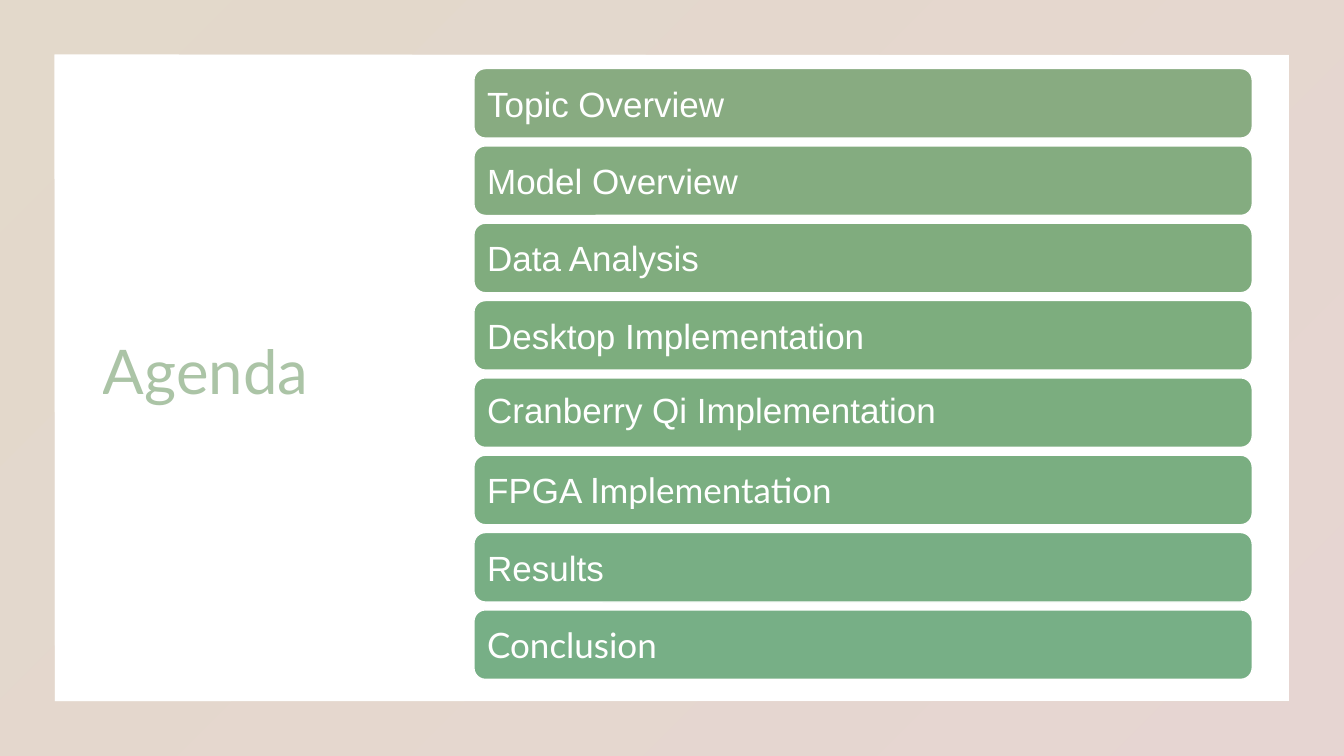
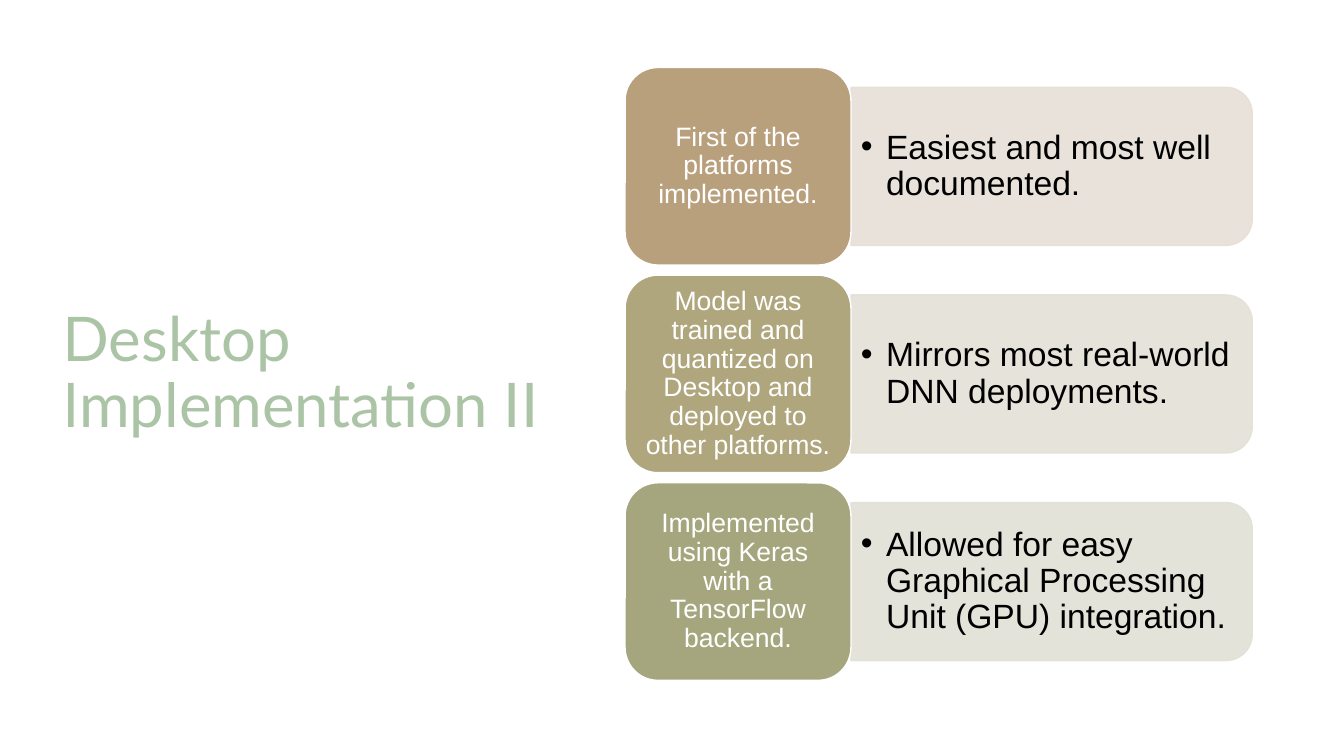
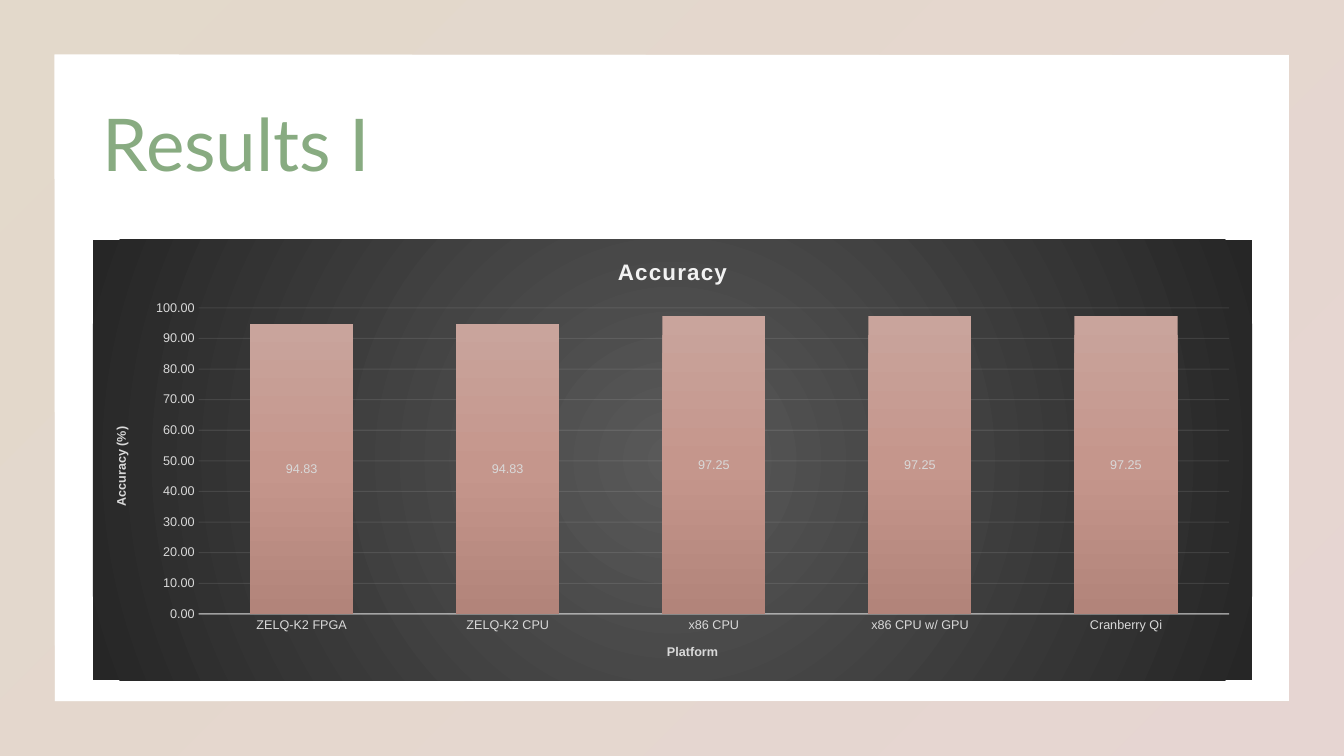
"""Build a three-slide deck: an agenda, a platform summary and an accuracy chart."""
from dataclasses import dataclass
from typing import NamedTuple

from lxml.etree import SubElement
from pptx import Presentation
from pptx.chart.data import CategoryChartData
from pptx.dml.color import RGBColor
from pptx.enum.chart import XL_CHART_TYPE as ChartType
from pptx.enum.chart import XL_LABEL_POSITION as LabelPos
from pptx.enum.chart import XL_TICK_MARK as Tick
from pptx.enum.shapes import MSO_SHAPE as Preset
from pptx.enum.text import MSO_ANCHOR as Anchor
from pptx.enum.text import MSO_AUTO_SIZE as AutoSize
from pptx.enum.text import PP_ALIGN as Align
from pptx.oxml import parse_xml
from pptx.oxml.ns import nsdecls, qn
from pptx.util import Inches, Pt


@dataclass(frozen=True)
class Theme:
    heading: str = "Lato"
    body: str = "Arial"
    white: str = "FFFFFF"
    black: str = "000000"
    green: str = "88AB81"
    light: str = "F2F2F2"
    muted: str = "D9D9D9"
    frame_stops: tuple = ((0, "B9A07D"), (100, "C2988F"))
    chart_stops: tuple = ((0, "595959"), (100, "262626"))
    column_stops: tuple = ((0, "C9A49C"), (50, "C5968C"), (100, "B2847A"))
    title_size: int = 44
    large_title_size: int = 52
    agenda_size: int = 25
    detail_size: int = 24
    card_size: int = 19
    chart_title_size: int = 16
    chart_size: int = 9


THEME = Theme()


class Box(NamedTuple):
    left: float
    top: float
    width: float
    height: float

    def emu(self) -> tuple:
        return tuple(Inches(v) for v in self)


class Span(NamedTuple):
    text: str
    font: str = THEME.body


@dataclass(frozen=True)
class AgendaItem:
    spans: tuple
    fill: str
    spacing: float = 1.0


@dataclass(frozen=True)
class Platform:
    summary: str
    detail: str
    fill: str
    tint: str


AGENDA = (
    AgendaItem((Span("Topic Overview"),), "88AB81"),
    AgendaItem((Span("Model Overview"),), "84AC80"),
    AgendaItem((Span("Data Analysis"),), "80AC7E"),
    AgendaItem((Span("Desktop Implementation"),), "7DAD7E"),
    AgendaItem((Span("Cranberry Qi Implementation"),), "7BAD7F", 0.9),
    AgendaItem((Span("FPGA "), Span("Implementation", THEME.heading)), "7AAE81"),
    AgendaItem((Span("Results"),), "78AE84"),
    AgendaItem((Span("Conclusion", THEME.heading),), "77AF86"),
)

PLATFORMS = (
    Platform("First of the platforms implemented.",
             "Easiest and most well documented.", "B9A07D", "E6DFD7"),
    Platform("Model was trained and quantized on Desktop and deployed to other platforms.",
             "Mirrors most real-world DNN deployments.", "B0A67D", "E4E1D7"),
    Platform("Implemented using Keras with a TensorFlow backend.",
             "Allowed for easy Graphical Processing Unit (GPU) integration.",
             "A5A67D", "E1E1D7"),
)

ACCURACY = {
    "ZELQ-K2 FPGA": 94.83,
    "ZELQ-K2 CPU": 94.83,
    "x86 CPU": 97.25,
    "x86 CPU w/ GPU": 97.25,
    "Cranberry Qi": 97.25,
}


def rgb(value: str) -> RGBColor:
    return RGBColor.from_string(value)


def fade(element, percent: int) -> None:
    for color in element.iter(qn("a:srgbClr")):
        SubElement(color, qn("a:alpha"), val=str(percent * 1000))


def gradient(stops: tuple, angle: int | None = None):
    marks = "".join(f'<a:gs pos="{pos * 1000}"><a:srgbClr val="{color}"/></a:gs>'
                    for pos, color in stops)
    if angle is None:
        course = ('<a:path path="circle"><a:fillToRect l="50000" t="50000" '
                  'r="50000" b="50000"/></a:path>')
    else:
        course = f'<a:lin ang="{angle * 60000}" scaled="0"/>'
    return parse_xml(f'<a:gradFill {nsdecls("a")} rotWithShape="1">'
                     f'<a:gsLst>{marks}</a:gsLst>{course}</a:gradFill>')


def swap_fill(props, fill) -> None:
    props.replace(props.find(qn("a:noFill")), fill)


def style_font(font, size: float, color: str, name: str = THEME.body,
               bold: bool = False) -> None:
    font.name, font.size, font.bold = name, Pt(size), bold
    font.color.rgb = rgb(color)


def write(tf, spans: tuple, size: float, color: str, align: Align = Align.LEFT,
          spacing: float = 0.9, insets: tuple = (0.1, 0.05)):
    tf.word_wrap = True
    tf.auto_size = AutoSize.NONE
    tf.vertical_anchor = Anchor.MIDDLE
    tf.margin_left = tf.margin_right = Inches(insets[0])
    tf.margin_top = tf.margin_bottom = Inches(insets[1])
    p = tf.paragraphs[0]
    p.alignment, p.line_spacing = align, spacing
    for span in spans:
        r = p.add_run()
        r.text = span.text
        style_font(r.font, size, color, span.font)
    return p


def add_panel(slide, preset: Preset, box: Box, fill: str, line: str):
    sp = slide.shapes.add_shape(preset, *box.emu())
    sp.shadow.inherit = False
    sp.fill.solid()
    sp.fill.fore_color.rgb = rgb(fill)
    sp.line.color.rgb = rgb(line)
    sp.line.width = Pt(1)
    return sp


def add_frame(slide, page: Box) -> None:
    sp = slide.shapes.add_shape(Preset.FRAME, *page.emu())
    sp.shadow.inherit = False
    sp.adjustments[0] = 0.072
    sp.line.fill.background()
    sp.fill.background()
    fill = gradient(THEME.frame_stops, 45)
    fade(fill, 40)
    swap_fill(sp.element.spPr, fill)


def add_slide(prs, title: str, box: Box, size: int = THEME.title_size,
              opacity: int = 70, framed: bool = True):
    slide = prs.slides.add_slide(prs.slide_layouts[5])
    if framed:
        add_frame(slide, Box(0, 0, 13.33, 7.5))
    sp = slide.shapes.title
    sp.left, sp.top, sp.width, sp.height = box.emu()
    p = write(sp.text_frame, (Span(title, THEME.heading),), size, THEME.green)
    if opacity < 100:
        fade(p.runs[0].font._element, opacity)
    return slide


def add_agenda(prs) -> None:
    slide = add_slide(prs, "Agenda", Box(0.92, 0.67, 3.5, 6.09))
    first, last = 0.68, 6.05
    pitch = (last - first) / (len(AGENDA) - 1)
    for i, item in enumerate(AGENDA):
        box = Box(4.7, first + i * pitch, 7.72, 0.69)
        sp = add_panel(slide, Preset.ROUNDED_RECTANGLE, box, item.fill, THEME.white)
        write(sp.text_frame, item.spans, THEME.agenda_size, THEME.white,
              spacing=item.spacing, insets=(0.1, 0.1))


def add_bullet(p) -> None:
    props = p._p.get_or_add_pPr()
    props.set("marL", str(Inches(0.25)))
    props.set("indent", str(-Inches(0.25)))
    SubElement(props, qn("a:buFont"), typeface=THEME.body)
    SubElement(props, qn("a:buChar"), char="•")


def add_platform(slide, platform: Platform, card: Box) -> None:
    length, depth = 3.98, 0.8 * card.height
    edge, middle = card.left + card.width, card.top + card.height / 2
    bar = Box(edge + (length - depth) / 2, middle - length / 2, depth, length)
    sp = add_panel(slide, Preset.ROUND_2_SAME_RECTANGLE, bar, platform.tint, platform.tint)
    sp.rotation = 90
    fade(sp.element.spPr, 90)

    detail = Box(edge, middle - 0.71, 3.9, 1.42)
    tf = slide.shapes.add_textbox(*detail.emu()).text_frame
    add_bullet(write(tf, (Span(platform.detail),), THEME.detail_size, THEME.black))

    sp = add_panel(slide, Preset.ROUNDED_RECTANGLE, card, platform.fill, THEME.white)
    write(sp.text_frame, (Span(platform.summary),), THEME.card_size, THEME.white,
          align=Align.CENTER, insets=(0.08, 0.04))


def add_platforms(prs) -> None:
    slide = add_slide(prs, "Desktop Implementation II", Box(0.52, 0.67, 5.26, 6.09),
                      framed=False)
    for i, platform in enumerate(PLATFORMS):
        add_platform(slide, platform, Box(6.2, 0.67 + i * 2.06, 2.24, 1.96))


def style_line(line, width: float, opacity: int) -> None:
    line.color.rgb = rgb(THEME.light)
    line.width = Pt(width)
    fade(line._get_or_add_ln(), opacity)


def style_axis(axis, title: str) -> None:
    axis.major_tick_mark = axis.minor_tick_mark = Tick.NONE
    style_font(axis.tick_labels.font, THEME.chart_size, THEME.muted)
    tf = axis.axis_title.text_frame
    tf.text = title
    style_font(tf.paragraphs[0].runs[0].font, THEME.chart_size, THEME.muted, bold=True)


def style_chart(chart) -> None:
    chart.has_legend = False
    style_font(chart.font, 10, THEME.black)
    backdrop = parse_xml(f'<c:spPr {nsdecls("c", "a")}><a:noFill/></c:spPr>')
    swap_fill(backdrop, gradient(THEME.chart_stops))
    chart.element.find(qn("c:chart")).addnext(backdrop)

    chart.has_title = True
    tf = chart.chart_title.text_frame
    tf.text = "Accuracy"
    font = tf.paragraphs[0].runs[0].font
    style_font(font, THEME.chart_title_size, THEME.light, bold=True)
    font._element.set("spc", "100")

    style_axis(chart.category_axis, "Platform")
    style_line(chart.category_axis.format.line, 1, 54)
    axis = chart.value_axis
    style_axis(axis, "Accuracy (%)")
    body = axis.axis_title.text_frame._txBody.bodyPr
    body.set("rot", "-5400000")
    body.set("vert", "horz")
    axis.minimum_scale, axis.maximum_scale, axis.major_unit = 0, 100, 10
    axis.tick_labels.number_format = "0.00"
    axis.tick_labels.number_format_is_linked = False
    axis.format.line.fill.background()
    style_line(axis.major_gridlines.format.line, 0.75, 10)


def style_columns(plot) -> None:
    plot.gap_width, plot.overlap = 100, -24
    plot.vary_by_categories = False
    plot.has_data_labels = True
    labels = plot.data_labels
    labels.show_value = True
    labels.position = LabelPos.CENTER
    labels.number_format, labels.number_format_is_linked = "0.00", False
    style_font(labels.font, THEME.chart_size, THEME.muted)
    series = plot.series[0]
    series.format.fill.background()
    swap_fill(series._element.spPr, gradient(THEME.column_stops, 90))


def add_results(prs) -> None:
    slide = add_slide(prs, "Results I", Box(0.92, 0.74, 11.5, 1.45),
                      THEME.large_title_size, opacity=100)
    data = CategoryChartData(number_format="0.00")
    data.categories = list(ACCURACY)
    data.add_series("Series 1", list(ACCURACY.values()))
    box = Box(0.92, 2.38, 11.5, 4.37)
    chart = slide.shapes.add_chart(ChartType.COLUMN_CLUSTERED, *box.emu(), data).chart
    style_chart(chart)
    style_columns(chart.plots[0])


def main() -> None:
    prs = Presentation()
    prs.slide_width, prs.slide_height = Inches(13.33), Inches(7.5)
    add_agenda(prs)
    add_platforms(prs)
    add_results(prs)
    prs.save("out.pptx")


if __name__ == "__main__":
    main()
